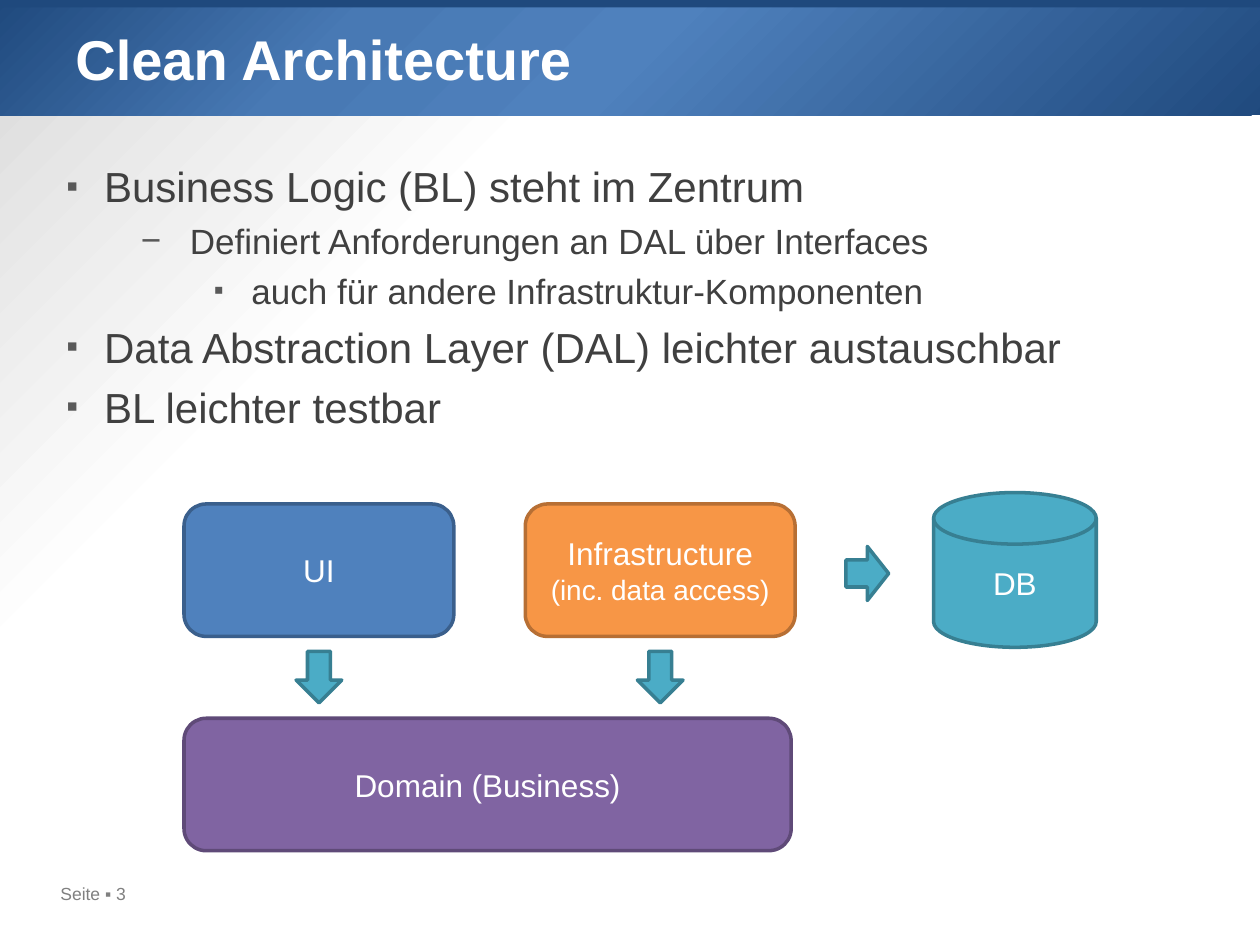
from lxml import etree
from pptx import Presentation
from pptx.dml.color import RGBColor
from pptx.enum import shapes as sh, text as tx
from pptx.oxml import ns
from pptx.util import Cm, Pt

NAVY = RGBColor(0x1F, 0x49, 0x7D)
MID = RGBColor(0x48, 0x79, 0xB4)
BLUE = RGBColor(0x4F, 0x81, 0xBD)
BLUE_EDGE = RGBColor(0x3A, 0x5F, 0x8C)
PLUM = RGBColor(0x80, 0x64, 0xA2)
PLUM_EDGE = RGBColor(0x5F, 0x4A, 0x78)
AMBER = RGBColor(0xF7, 0x96, 0x46)
AMBER_EDGE = RGBColor(0xB7, 0x6F, 0x34)
TEAL = RGBColor(0x4B, 0xAC, 0xC6)
TEAL_EDGE = RGBColor(0x37, 0x7F, 0x92)
WHITE = RGBColor(0xFF, 0xFF, 0xFF)
PALE = RGBColor(0xD9, 0xD9, 0xD9)
GRAY = RGBColor(0x80, 0x80, 0x80)
DARK = RGBColor(0x40, 0x40, 0x40)
MARK = RGBColor(0x59, 0x59, 0x59)


def add(parent, tag, **attrs):
    """Append a drawing element and return it."""
    node = etree.SubElement(parent, ns.qn("a:" + tag))
    for key, val in attrs.items():
        node.set(key, str(val))
    return node


def radial(fill, root, stops, focus):
    """Fill with a circular gradient; stops are (percent, colour)."""
    fill.gradient()
    grad = next(root.iter(ns.qn("a:gradFill")))
    for child in list(grad):
        grad.remove(child)
    steps = add(grad, "gsLst")
    for pos, color in stops:
        add(add(steps, "gs", pos=pos * 1000), "srgbClr", val=color)
    way = add(grad, "path", path="circle")
    add(way, "fillToRect", **{side: pct * 1000 for side, pct in zip("ltrb", focus)})


prs = Presentation()
prs.slide_width, prs.slide_height = Cm(25.4), Cm(19.05)
slide = prs.slides.add_slide(prs.slide_layouts[6])

# Background and header bands
back = slide.background.fill
radial(back, slide.element, [(70, WHITE), (100, PALE)], (100, 100, 0, 0))
for top, high in [(-0.03, 2.36), (-0.08, 0.23)]:
    band = slide.shapes.add_shape(sh.MSO_SHAPE.RECTANGLE, Cm(-0.03), Cm(top), Cm(25.7), Cm(high))
    band.shadow.inherit = False
    band.line.fill.background()
    if high > 1:
        stops = [(0, NAVY), (27, MID), (50, BLUE), (100, NAVY)]
        radial(band.fill, band.element, stops, (0, 0, 100, 100))
    else:
        band.fill.solid()
        band.fill.fore_color.rgb = NAVY

# Page label and title
for label, spot, size, color, bold in [
    ("Seite ▪ 3", (0.97, 17.68, 3.73, 0.69), 10, GRAY, False),
    ("Clean Architecture", (1.27, 0.36, 22.86, 3.18), 32, WHITE, True),
]:
    frame = slide.shapes.add_textbox(*map(Cm, spot)).text_frame
    frame.word_wrap = True
    frame.text = label
    font = frame.paragraphs[0].runs[0].font
    font.name, font.size, font.bold = "Arial", Pt(size), bold
    font.color.rgb = color

# Bullet list: mark, mark size, text size, indent, hanging
levels = [
    ("▪", 80, 24, 0.76, 0.76),
    ("−", 100, 20, 2.49, 0.99),
    ("▪", 80, 20, 3.73, 0.76),
]
points = [
    (0, "Business Logic (BL) steht im Zentrum"),
    (1, "Definiert Anforderungen an DAL über Interfaces"),
    (2, "auch für andere Infrastruktur-Komponenten"),
    (0, "Data Abstraction Layer (DAL) leichter austauschbar"),
    (0, "BL leichter testbar"),
]
frame = slide.shapes.add_textbox(Cm(1.09), Cm(3.12), Cm(22.81), Cm(12.8)).text_frame
frame.word_wrap = True
for num, (level, label) in enumerate(points):
    mark, scale, size, left, hang = levels[level]
    para = frame.add_paragraph() if num else frame.paragraphs[0]
    para.text = label
    para.level = level
    para.space_before = Pt(size * 0.23 if num else 0)
    font = para.runs[0].font
    font.name, font.size = "Arial", Pt(size)
    font.color.rgb = DARK
    props = para._p.get_or_add_pPr()
    props.set("marL", str(Cm(left)))
    props.set("indent", str(-Cm(hang)))
    add(add(props, "buClr"), "srgbClr", val=MARK)
    add(props, "buSzPct", val=scale * 1000)
    add(props, "buFont", typeface="Arial")
    add(props, "buChar", char=mark)

# Diagram: layers, database and arrows
ROUND = sh.MSO_SHAPE.ROUNDED_RECTANGLE
DOWN = sh.MSO_SHAPE.DOWN_ARROW
DISK = sh.MSO_SHAPE.FLOWCHART_MAGNETIC_DISK
wide, high = 5.44, 2.67
ui_x, infra_x, top = 3.71, 10.59, 10.16
parts = [
    (ROUND, (ui_x, top, wide, high), BLUE, BLUE_EDGE, "UI", 0),
    (ROUND, (ui_x, 14.48, 12.24, high), PLUM, PLUM_EDGE, "Domain (Business)", 0),
    (ROUND, (infra_x, top, wide, high), AMBER, AMBER_EDGE,
     "Infrastructure\v(inc. data access)", 0),
    (DISK, (18.82, 9.93, 3.28, 3.12), TEAL, TEAL_EDGE, "DB", 0),
    (DOWN, (16.94, 11.13, 1.09, 0.86), TEAL, TEAL_EDGE, "", 270),
]
for left in (ui_x, infra_x):
    spot = (left + wide / 2 - 0.46, 13.13, 0.92, 1.04)
    parts.append((DOWN, spot, TEAL, TEAL_EDGE, "", 0))

group = slide.shapes.add_group_shape()
for kind, spot, color, edge, label, turn in parts:
    item = group.shapes.add_shape(kind, *map(Cm, spot))
    item.shadow.inherit = False
    item.rotation = turn
    item.fill.solid()
    item.fill.fore_color.rgb = color
    item.line.color.rgb = edge
    item.line.width = Pt(2)
    if not label:
        continue
    frame = item.text_frame
    frame.word_wrap = True
    frame.vertical_anchor = tx.MSO_ANCHOR.MIDDLE
    para = frame.paragraphs[0]
    para.text = label
    para.alignment = tx.PP_ALIGN.CENTER
    for run, size in zip(para.runs, (18, 16)):
        run.font.name, run.font.size = "Arial", Pt(size)
        run.font.color.rgb = WHITE

prs.save("out.pptx")
